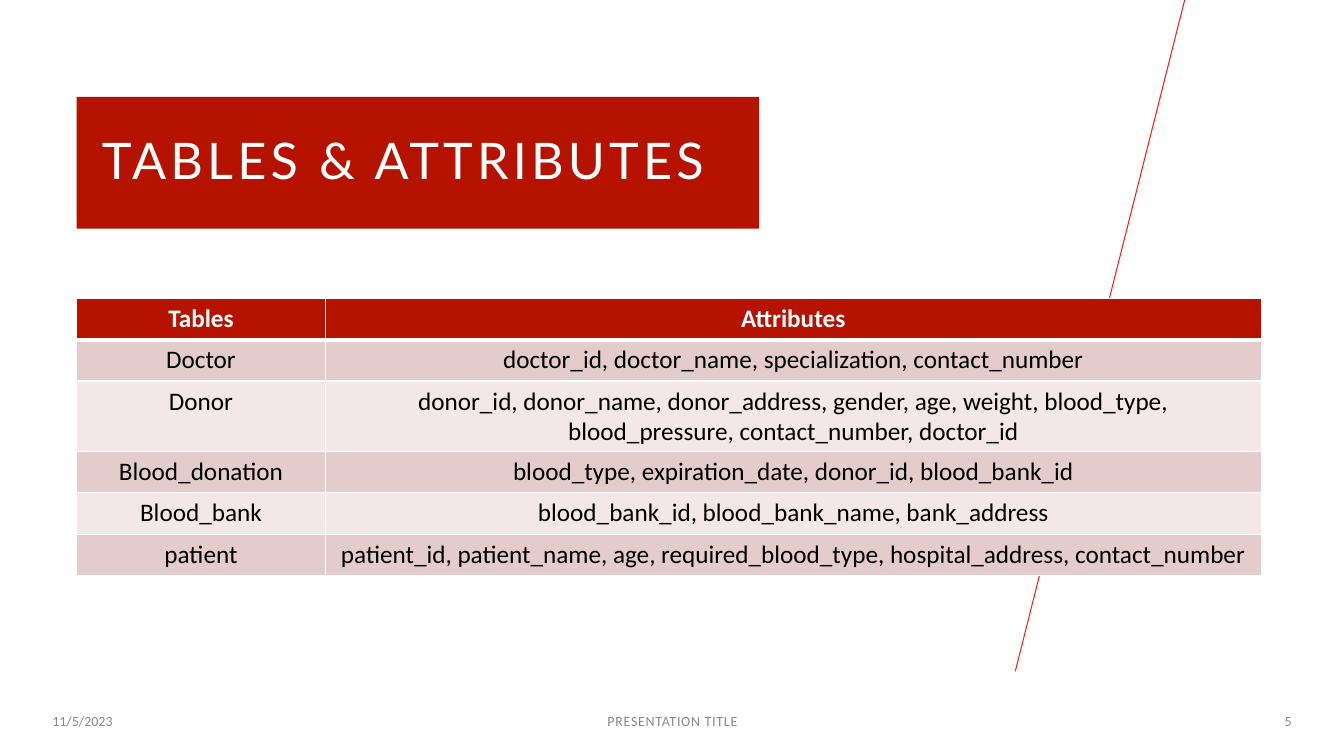
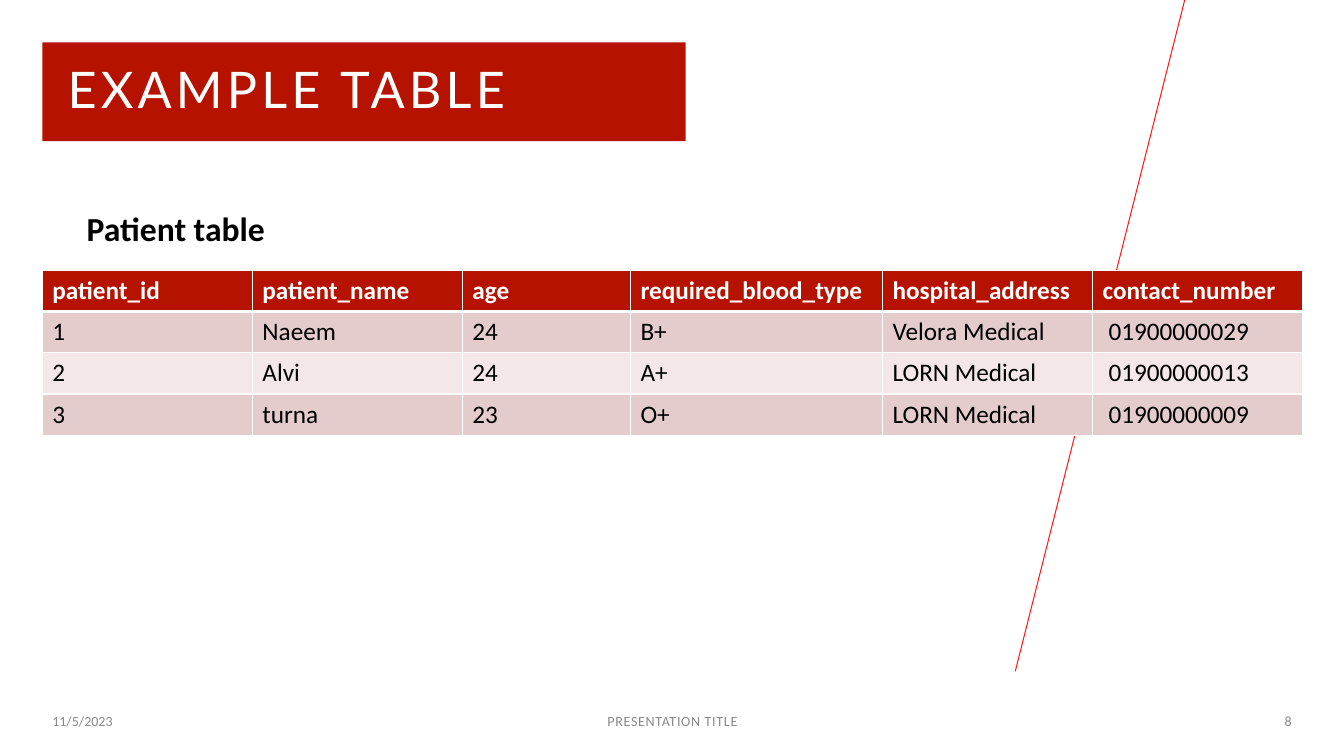
from lxml import etree
from pptx import Presentation
from pptx.dml.color import RGBColor
from pptx.enum.shapes import MSO_CONNECTOR
from pptx.enum.text import MSO_ANCHOR, MSO_AUTO_SIZE, PP_ALIGN
from pptx.oxml.ns import qn
from pptx.util import Inches, Pt

LEFT, CENTER, RIGHT = PP_ALIGN.LEFT, PP_ALIGN.CENTER, PP_ALIGN.RIGHT
MIDDLE, TOP = MSO_ANCHOR.MIDDLE, MSO_ANCHOR.TOP
NO_AUTOFIT = MSO_AUTO_SIZE.NONE
STRAIGHT = MSO_CONNECTOR.STRAIGHT

RED = RGBColor(0xB5, 0x12, 0x00)
LINE_RED = RGBColor(0xFD, 0x1B, 0x17)
ROSE = RGBColor(0xE5, 0xCC, 0xCC)
PALE_ROSE = RGBColor(0xF3, 0xE7, 0xE7)
WHITE = RGBColor(0xFF, 0xFF, 0xFF)
BLACK = RGBColor(0x00, 0x00, 0x00)
GREY = RGBColor(0x89, 0x89, 0x89)

TITLE_FONT, TEXT_FONT = "Lato", "Calibri"
SLIDE_W, SLIDE_H = 13.33, 7.5
MARGIN, INDENT = 0.42, 0.76
ROW_H = 0.41
TITLE_AND_BODY, TITLE_ONLY = 1, 5

ATTRIBUTES = [
    ("Tables", "Attributes"),
    ("Doctor", "doctor_id, doctor_name, specialization, contact_number"),
    ("Donor", "donor_id, donor_name, donor_address, gender, age, weight, "
              "blood_type, blood_pressure, contact_number, doctor_id"),
    ("Blood_donation", "blood_type, expiration_date, donor_id, blood_bank_id"),
    ("Blood_bank", "blood_bank_id, blood_bank_name, bank_address"),
    ("patient", "patient_id, patient_name, age, required_blood_type, "
                "hospital_address, contact_number"),
]
PATIENTS = [
    ("patient_id", "patient_name", "age", "required_blood_type",
     "hospital_address", "contact_number"),
    ("1", "Naeem", "24", "B+", "Velora Medical", "01900000029"),
    ("2", "Alvi", "24", "A+", "LORN Medical", "01900000013"),
    ("3", "turna", "23", "O+", "LORN Medical", "01900000009"),
]


def place(sp, box):
    sp.left, sp.top, sp.width, sp.height = (Inches(v) for v in box)


def write(tf, text, size, color, font=TEXT_FONT, align=LEFT, bold=False, spacing=0):
    """Fill a text frame with one styled paragraph; spacing is in points."""
    p = tf.paragraphs[0]
    p.text = text
    p.alignment = align
    f = p.font
    f.name, f.size, f.bold = font, Pt(size), bold
    f.color.rgb = color
    if spacing:
        for props in p.runs[0].font, f:
            props._element.set("spc", str(int(spacing * 100)))
    return p


def add_title(slide, text, box):
    sp = slide.shapes.title
    place(sp, box)
    sp.fill.solid()
    sp.fill.fore_color.rgb = RED
    tf = sp.text_frame
    tf.auto_size, tf.word_wrap, tf.vertical_anchor = NO_AUTOFIT, True, MIDDLE
    tf.margin_left = Inches(0.25)
    p = write(tf, text, 36, WHITE, TITLE_FONT, spacing=3)
    p.line_spacing = 0.9


def add_caption(slide, text, box):
    sp = slide.placeholders[1]
    place(sp, box)
    tf = sp.text_frame
    tf.auto_size, tf.vertical_anchor = NO_AUTOFIT, TOP
    p = write(tf, text, 24, BLACK, bold=True)
    p.line_spacing, p.space_before = 0.9, Pt(0)
    props = next(sp.element.iter(qn("a:pPr")))
    props.set("marL", "0")
    props.set("indent", "0")
    bullet = etree.Element(qn("a:buNone"))
    next(props.iter(qn("a:defRPr"))).addprevious(bullet)


def add_footer(slide, number):
    parts = [("11/5/2023", MARGIN, 1.89, LEFT, 0),
             ("PRESENTATION TITLE", 4.42, 4.5, CENTER, 0.5),
             (str(number), 11.23, 1.68, RIGHT, 0)]
    for text, x, w, align, spacing in parts:
        sp = slide.shapes.add_textbox(Inches(x), Inches(6.95), Inches(w), Inches(0.4))
        tf = sp.text_frame
        tf.word_wrap, tf.vertical_anchor = True, MIDDLE
        write(tf, text, 10, GREY, align=align, spacing=spacing)


def add_master_line(prs, slide):
    """Draw the diagonal, then move it to the master that all slides share."""
    line = slide.shapes.add_connector(
        STRAIGHT, Inches(11.75), 0, Inches(10.07), Inches(6.66))
    line.line.color.rgb = LINE_RED
    line.line.width = Pt(0.75)
    etree.SubElement(line.element.spPr, qn("a:effectLst"))
    prs.slide_master.shapes.element.append(line.element)


def set_borders(cell, top, bottom):
    """White borders, with the top and bottom widths in points."""
    props = cell._tc.get_or_add_tcPr()
    widths = {"lnL": 1, "lnR": 1, "lnT": top, "lnB": bottom}
    for i, (side, width) in enumerate(widths.items()):
        ln = etree.Element(qn(f"a:{side}"), w=str(Pt(width)))
        fill = etree.SubElement(ln, qn("a:solidFill"))
        etree.SubElement(fill, qn("a:srgbClr"), val=str(WHITE))
        props.insert(i, ln)


def add_table(slide, rows, box, weights, align=LEFT):
    """Table in box (left, top, width), columns shared out by weight."""
    x, y, w = box
    table = slide.shapes.add_table(
        len(rows), len(weights), Inches(x), Inches(y),
        Inches(w), Inches(ROW_H * len(rows))).table
    for column, weight in zip(table.columns, weights):
        column.width = Inches(w * weight / sum(weights))
    for r, row in enumerate(rows):
        header = r == 0
        table.rows[r].height = Inches(ROW_H)
        for c, text in enumerate(row):
            cell = table.cell(r, c)
            cell.fill.solid()
            cell.fill.fore_color.rgb = RED if header else ROSE if r % 2 else PALE_ROSE
            write(cell.text_frame, text, 18, WHITE if header else BLACK,
                  align=align, bold=header)
            set_borders(cell, top=3 if r == 1 else 1, bottom=3 if header else 1)
    return table


def attributes_slide(prs):
    slide = prs.slides.add_slide(prs.slide_layouts[TITLE_ONLY])
    add_master_line(prs, slide)
    add_title(slide, "TABLES & ATTRIBUTES", (INDENT, 0.96, 6.77, 1.31))
    add_footer(slide, 5)
    add_table(slide, ATTRIBUTES, (INDENT, 2.96, 11.75), (21, 79), CENTER)


def patients_slide(prs):
    slide = prs.slides.add_slide(prs.slide_layouts[TITLE_AND_BODY])
    add_title(slide, "EXAMPLE TABLE", (MARGIN, MARGIN, 6.38, 0.98))
    add_footer(slide, 8)
    add_caption(slide, "Patient table", (INDENT, 2.06, 11.75, 0.55))
    table = add_table(slide, PATIENTS, (MARGIN, 2.68, 12.5), (5, 5, 4, 6, 5, 5))
    for r in range(1, len(PATIENTS)):
        table.cell(r, 5).margin_left = Inches(0.16)


def main():
    prs = Presentation()
    prs.slide_width, prs.slide_height = Inches(SLIDE_W), Inches(SLIDE_H)
    attributes_slide(prs)
    patients_slide(prs)
    prs.save("out.pptx")


if __name__ == "__main__":
    main()
